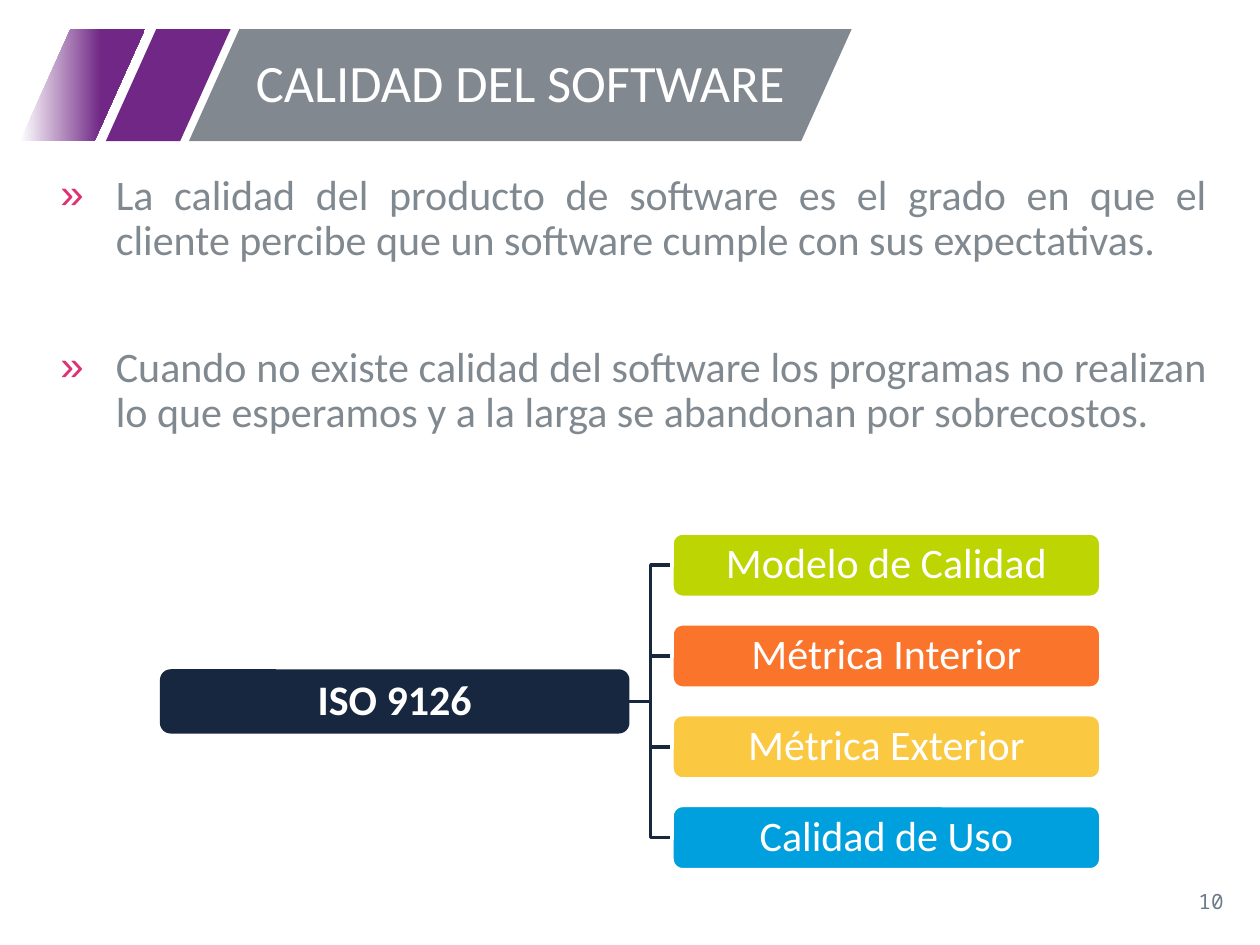
from lxml.etree import SubElement as Sub
from pptx import Presentation
from pptx.dml.color import RGBColor as RGB
from pptx.enum.shapes import MSO_SHAPE as Geo
from pptx.enum.text import MSO_ANCHOR as Anchor, MSO_AUTO_SIZE as Auto, PP_ALIGN as Align
from pptx.oxml.ns import qn
from pptx.util import Pt

COLORS = {
    "white": "FFFFFF", "purple": "702785", "bar": "81888F", "text": "818990",
    "pink": "DE3075", "navy": "172740", "lime": "BDD503", "orange": "FA742C",
    "yellow": "FBC842", "blue": "00A0DE", "page": "6C7A8A",
}


def tint(name):
    return RGB.from_string(COLORS[name])


def apply(item, values):
    for key, value in values.items():
        setattr(item, key, value)


class Page:
    base = {"name": "Calibri", "size": Pt(24), "bold": False}

    def __init__(self, deck):
        self.slide = deck.slides.add_slide(deck.slide_layouts[1])
        self.shapes = self.slide.shapes

    def style(self, para, color, font=None, **form):
        apply(para, form)
        apply(para.font, {**self.base, **(font or {})})
        para.font.color.rgb = tint(color)

    def frame(self, shape, inset=(7.2, 3.6), anchor=Anchor.MIDDLE):
        side, edge = (Pt(n) for n in inset)
        apply(shape.text_frame, {
            "word_wrap": True, "auto_size": Auto.NONE, "vertical_anchor": anchor,
            "margin_left": side, "margin_right": side,
            "margin_top": edge, "margin_bottom": edge,
        })
        return shape.text_frame

    def place(self, shape, *box):
        apply(shape, dict(zip(("left", "top", "width", "height"), map(Pt, box))))
        # Bring the placeholder in front of what is already drawn
        shape.element.getparent().append(shape.element)

    def block(self, geo, box, fill, edge=None):
        shape = self.shapes.add_shape(geo, *map(Pt, box))
        shape.shadow.inherit = False
        shape.fill.solid()
        shape.fill.fore_color.rgb = tint(fill)
        if edge:
            shape.line.color.rgb = tint(edge)
            shape.line.width = Pt(2)
        else:
            shape.line.fill.background()
        return shape

    def bar(self, left, width, fill):
        shape = self.block(Geo.PARALLELOGRAM, (left, 16.6, width, 64), fill)
        shape.adjustments[0] = 0.45
        return shape

    def fade(self, shape, stops):
        shape.fill.gradient()
        shape.fill.gradient_angle = 0
        for stop, (place, color) in zip(shape.fill.gradient_stops, stops):
            stop.position = place
            stop.color.rgb = tint(color)

    def title(self, text, *box):
        shape = self.shapes.title
        self.place(shape, *box)
        para = self.frame(shape).paragraphs[0]
        para.text = text
        self.style(para, "white", {"size": Pt(30)}, alignment=Align.LEFT, line_spacing=0.9)

    def list(self, items, gap, *box):
        shape = self.slide.placeholders[1]
        self.place(shape, *box)
        frame = self.frame(shape, anchor=Anchor.TOP)
        for i, text in enumerate(items):
            para = frame.add_paragraph() if i else frame.paragraphs[0]
            para.text = text
            props = para._p.get_or_add_pPr()
            props.set("marL", str(Pt(36)))
            props.set("indent", str(-Pt(31.7)))
            color = Sub(props, qn("a:buClr"))
            Sub(color, qn("a:srgbClr"), val=COLORS["pink"])
            Sub(props, qn("a:buChar"), char="»")
            self.style(para, "text", alignment=Align.JUSTIFY, line_spacing=0.9,
                       space_before=Pt(gap if i else 0))

    def node(self, text, box, fill, edge=None, bold=False):
        shape = self.block(Geo.ROUNDED_RECTANGLE, box, fill, edge)
        para = self.frame(shape, (3, 3)).paragraphs[0]
        para.text = text
        self.style(para, "white", {"bold": bold}, alignment=Align.CENTER, line_spacing=0.9)

    def elbow(self, x, y, end, level):
        mid = (x + end) / 2
        trace = self.shapes.build_freeform(Pt(x), Pt(y))
        points = (mid, y), (mid, level), (end, level)
        trace.add_line_segments([(Pt(a), Pt(b)) for a, b in points], close=False)
        shape = trace.convert_to_shape()
        shape.shadow.inherit = False
        shape.fill.background()
        shape.line.color.rgb = tint("navy")
        shape.line.width = Pt(2)

    def number(self, text, *box):
        shape = self.shapes.add_textbox(*map(Pt, box))
        para = self.frame(shape).paragraphs[0]
        para.text = text
        self.style(para, "page", {"name": "Noto Sans Mono", "size": Pt(12)},
                   alignment=Align.RIGHT)


def main():
    deck = Presentation()
    apply(deck, {"slide_width": Pt(720), "slide_height": Pt(540)})
    page = Page(deck)

    # Title banner
    page.bar(60.5, 71.3, "purple")
    page.fade(page.bar(11.5, 71.3, "purple"), [(0, "white"), (0.65, "purple")])
    page.bar(108, 378.7, "bar")
    page.number("10", 544.3, 500.4, 162, 28.8)

    # Main points
    page.list([
        "La calidad del producto de software es el grado en que el cliente "
        "percibe que un software cumple con sus expectativas.",
        "Cuando no existe calidad del software los programas no realizan lo "
        "que esperamos y a la larga se abandonan por sobrecostos.",
    ], 46.4, 23, 95.8, 674, 404.6)
    page.title("CALIDAD DEL SOFTWARE", 139, 16.6, 337.7, 64)

    # Tree: the root is centred on its branches
    parts = [("Modelo de Calidad", "lime"), ("Métrica Interior", "orange"),
             ("Métrica Exterior", "yellow"), ("Calidad de Uso", "blue")]
    left, top, high, step = 384, 304.6, 36.7, 51.9
    start, wide = 91.4, 268.3
    root = top + step * (len(parts) - 1) / 2
    tops = [top + step * i for i in range(len(parts))]
    for y in tops:
        page.elbow(start + wide, root + high / 2, left, y + high / 2)
    page.node("ISO 9126", (start, root, wide, high), "navy", bold=True)
    for y, (text, color) in zip(tops, parts):
        page.node(text, (left, y, 245, high), color, edge="white")

    deck.save("out.pptx")


if __name__ == "__main__":
    main()
